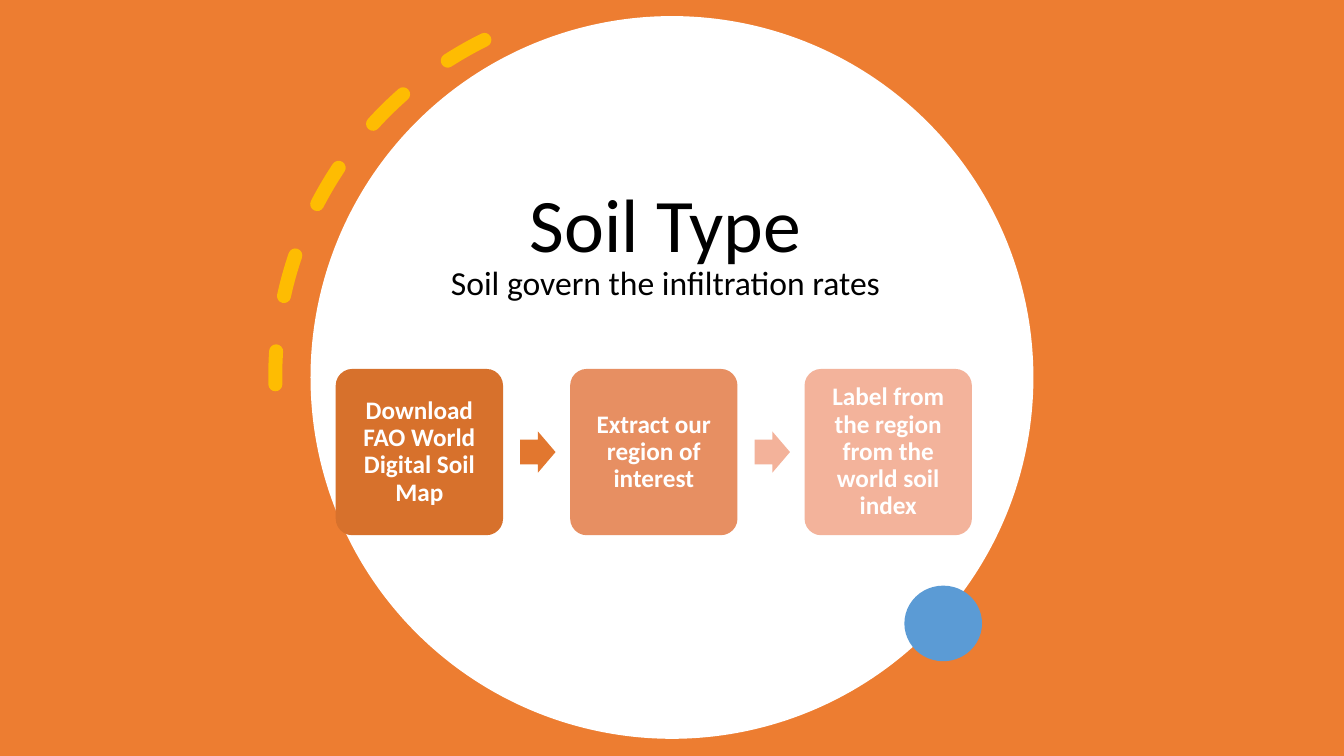
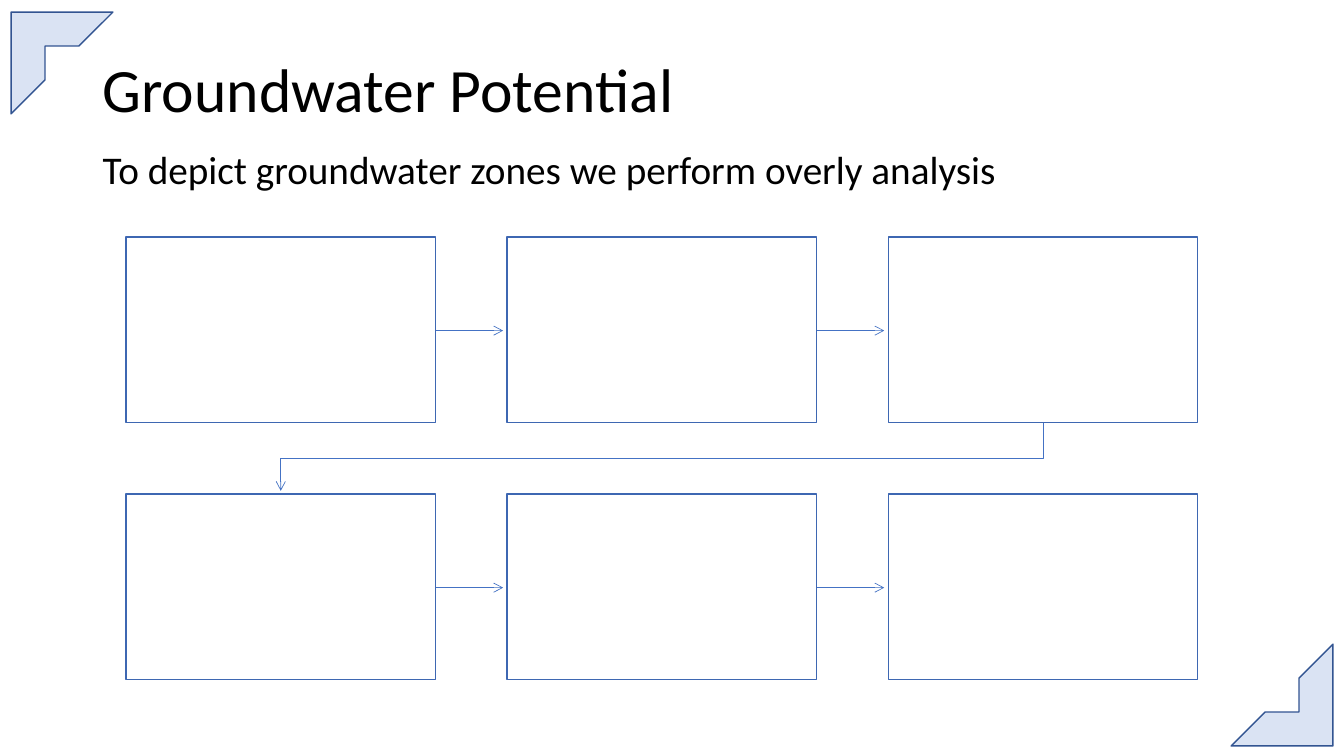
from lxml import etree
from pptx import Presentation
from pptx.dml.color import RGBColor
from pptx.enum import dml, shapes, text
from pptx.oxml.ns import qn
from pptx.util import Inches, Pt

ORANGE = RGBColor(0xED, 0x7D, 0x31)
GOLD = RGBColor(0xFF, 0xC0, 0x00)
SKY = RGBColor(0x5B, 0x9B, 0xD5)
BLUE = RGBColor(0x44, 0x72, 0xC4)
EDGE = RGBColor(0x3E, 0x67, 0xB2)
NAVY = RGBColor(0x32, 0x54, 0x91)
PALE = RGBColor(0xDA, 0xE3, 0xF3)
WHITE = RGBColor(0xFF, 0xFF, 0xFF)
BLACK = RGBColor(0, 0, 0)
FONT = "Calibri"
KIND = shapes.MSO_SHAPE
LEFT, CENTER = text.PP_ALIGN.LEFT, text.PP_ALIGN.CENTER
TOP, MIDDLE, BOTTOM = (text.MSO_ANCHOR.TOP, text.MSO_ANCHOR.MIDDLE,
                       text.MSO_ANCHOR.BOTTOM)

# Step text, box colour, colour of the arrow that follows
STEPS = [
    ("Download FAO World Digital Soil Map",
     RGBColor(0xD7, 0x71, 0x2C), RGBColor(0xE2, 0x77, 0x2F)),
    ("Extract our region of interest",
     RGBColor(0xE7, 0x8F, 0x62), RGBColor(0xF3, 0xB2, 0x9A)),
    ("Label from the region from the world soil index",
     RGBColor(0xF3, 0xB3, 0x9B), None),
]
STEP_X, STEP_Y, STEP_W, STEP_H, STEP_GAP = 3.33, 3.66, 1.66, 1.65, 2.325

COLS, ROWS = 3, 2
BOX_X, BOX_Y, BOX_W, BOX_H = 1.25, 2.35, 3.07, 1.84
COL_GAP, ROW_GAP = 3.78, 2.55
REACH = 0.67  # length of an arrow between two boxes


def add_shape(slide, kind, area, fill=None, line=None, width=1):
    shape = slide.shapes.add_shape(kind, *map(Inches, area))
    paint(shape, fill, line, width)
    return shape


def paint(shape, fill, line, width):
    shape.shadow.inherit = False
    if fill is None:
        shape.fill.background()
    else:
        shape.fill.solid()
        shape.fill.fore_color.rgb = fill
    if line is None:
        shape.line.fill.background()
    else:
        shape.line.color.rgb = line
        shape.line.width = Pt(width)


def write(shape, words, size, color=BLACK, align=LEFT, anchor=TOP,
          bold=False, before=0):
    frame = shape.text_frame
    frame.word_wrap = True
    frame.vertical_anchor = anchor
    para = frame.paragraphs[0]
    para.text = words
    para.alignment = align
    para.line_spacing = 0.9
    para.space_before = Pt(before)
    font = para.font
    font.name, font.size, font.bold = FONT, Pt(size), bold
    font.color.rgb = color
    return frame


def add_text(slide, area, words, size, **style):
    write(slide.shapes.add_textbox(*map(Inches, area)), words, size, **style)


def add_head(line):
    """Put an open arrowhead at the end of a line."""
    etree.SubElement(line.line._get_or_add_ln(), qn("a:tailEnd"), type="arrow")


def add_arrow(slide, x, y):
    line = slide.shapes.add_connector(
        shapes.MSO_CONNECTOR.STRAIGHT,
        Inches(x), Inches(y), Inches(x + REACH), Inches(y))
    line.line.color.rgb = BLUE
    line.line.width = Pt(0.5)
    add_head(line)
    etree.SubElement(line._element.spPr, qn("a:effectLst"))


def add_bend(slide, points):
    points = [(Inches(x), Inches(y)) for x, y in points]
    form = slide.shapes.build_freeform(*points[0])
    form.add_line_segments(points[1:], close=False)
    line = form.convert_to_shape()
    paint(line, None, BLUE, 0.5)
    add_head(line)


def add_arc(slide):
    """Draw the dashed, round-capped arc beside the disc."""
    arc = add_shape(slide, KIND.ARC, (2.73, 0.01, 7.45, 7.45), line=GOLD, width=10)
    arc.adjustments[0], arc.adjustments[1] = 162, 200.93
    arc.rotation = 153.7
    arc._element.spPr.find(qn("a:xfrm")).set("flipV", "1")
    arc.line.dash_style = dml.MSO_LINE.DASH
    ln = arc.line._get_or_add_ln()
    ln.set("cap", "rnd")
    etree.SubElement(ln.find(".//" + qn("a:srgbClr")), qn("a:alpha"), val="95000")


def soil_slide(slide):
    add_shape(slide, KIND.RECTANGLE, (0, 0, 13.33, 7.5), ORANGE)
    add_shape(slide, KIND.OVAL, (3.08, 0.16, 7.17, 7.17), WHITE)
    add_text(slide, (3.56, -0.03, 6.08, 2.75), "Soil Type", 54,
             align=CENTER, anchor=BOTTOM)
    add_text(slide, (3.56, 2.59, 6.08, 1.68), "Soil govern the infiltration rates",
             24, align=CENTER, before=10)
    add_arc(slide)
    add_shape(slide, KIND.OVAL, (8.97, 5.81, 0.77, 0.75), SKY)
    for i, (words, fill, next_fill) in enumerate(STEPS):
        x = STEP_X + i * STEP_GAP
        box = add_shape(slide, KIND.ROUNDED_RECTANGLE,
                        (x, STEP_Y, STEP_W, STEP_H), fill)
        box.adjustments[0] = 0.1
        frame = write(box, words, 18, WHITE, CENTER, MIDDLE, bold=True)
        frame.margin_left = frame.margin_right = Inches(0.07)
        frame.margin_top = frame.margin_bottom = Inches(0.07)
        if next_fill is not None:
            arrow = add_shape(slide, KIND.RIGHT_ARROW,
                              (x + 1.83, 4.28, 0.35, 0.41), next_fill)
            arrow.adjustments[0] = 0.6


def water_slide(slide):
    add_text(slide, (0.92, 0.4, 5.92, 1.04), "Groundwater Potential", 44,
             anchor=MIDDLE)
    add_text(slide, (0.92, 1.45, 11.37, 0.83),
             "To depict groundwater zones we perform overly analysis", 28, before=10)
    for row in range(ROWS):
        y = BOX_Y + row * ROW_GAP
        for col in range(COLS):
            x = BOX_X + col * COL_GAP
            add_shape(slide, KIND.RECTANGLE, (x, y, BOX_W, BOX_H), WHITE, EDGE)
            if col < COLS - 1:
                add_arrow(slide, x + BOX_W, y + BOX_H / 2 + 0.01)
    first = BOX_X + BOX_W / 2
    last = first + (COLS - 1) * COL_GAP
    top = BOX_Y + BOX_H + 0.01
    add_bend(slide, [(last, top), (last, 4.55), (first, 4.55), (first, top + REACH)])
    for x, y, turn in [(0.11, 0.12, 0), (12.21, 6.39, 180)]:
        corner = add_shape(slide, KIND.HALF_FRAME, (x, y, 1.01, 1.01), PALE, NAVY)
        corner.rotation = turn


def main():
    deck = Presentation()
    deck.slide_width, deck.slide_height = Inches(13.33), Inches(7.5)
    for build in (soil_slide, water_slide):
        build(deck.slides.add_slide(deck.slide_layouts[6]))
    deck.save("out.pptx")


if __name__ == "__main__":
    main()
